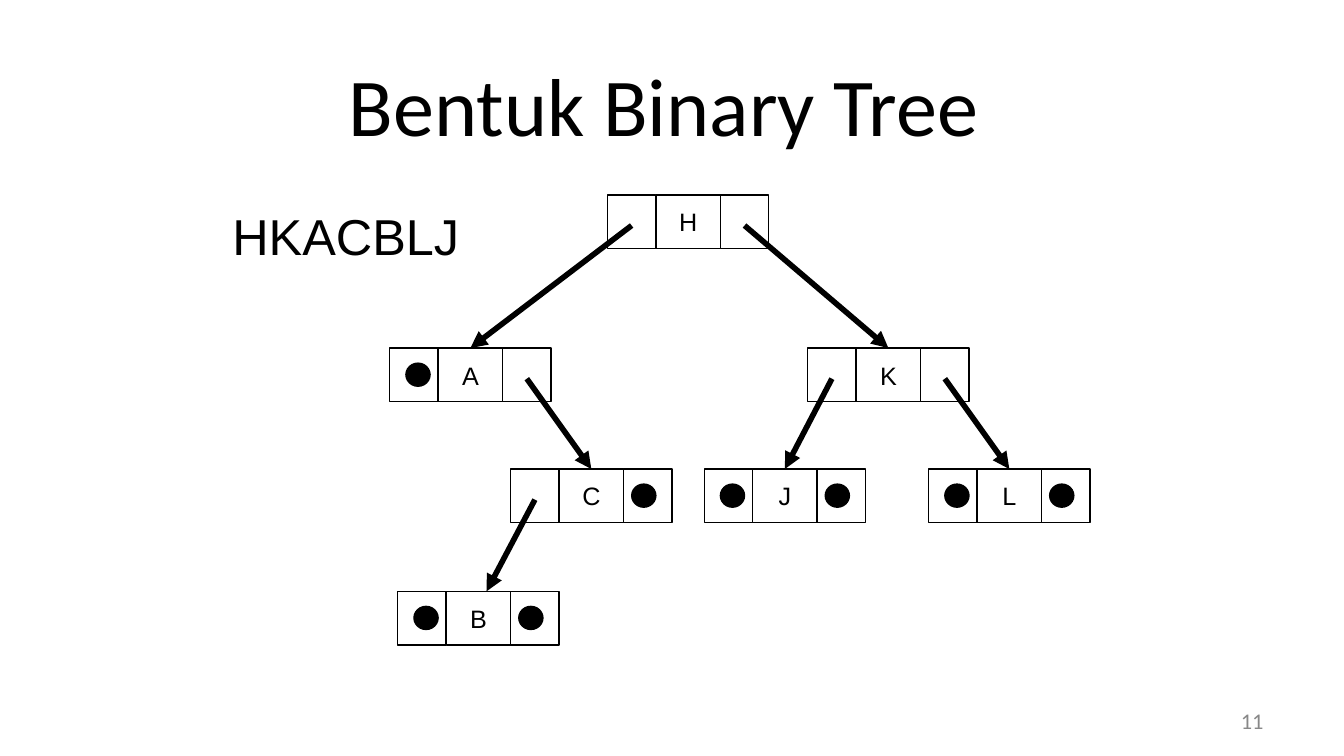
from lxml import etree
from pptx import Presentation
from pptx import util as u
from pptx.dml import color
from pptx.enum import shapes, text
from pptx.oxml import ns

WIDE = 10
HIGH = WIDE * 9 / 16
COL, ROW = 0.12, 0.4
INK, PAPER, GREY = "000000", "FFFFFF", "888888"
CELLS = ((0, 3), (3, 4), (7, 3))
TREE = {
    "H": (4.52, 1.45, 5, "A", "K"),
    "A": (2.9, 2.59, 5, None, "C"),
    "K": (6.01, 2.59, 5, "J", "L"),
    "C": (3.8, 3.49, 5, "B", None),
    "L": (6.91, 3.49, 5, None, None),
    "B": (2.96, 4.4, 5.5, None, None),
    "J": (5.24, 3.49, 5, None, None),
}


def tint(code):
    return color.RGBColor.from_string(code)


def inch(*nums):
    return [u.Inches(n) for n in nums]


def write(frame, words, size, font, code, align):
    para = frame.paragraphs[0]
    para.alignment = align
    run = para.add_run()
    run.text = words
    run.font.size = u.Pt(size)
    run.font.name = font
    run.font.color.rgb = tint(code)


def label(slide, box, words, size, font, code, align, anchor):
    frame = slide.shapes.add_textbox(*inch(*box)).text_frame
    frame.word_wrap = True
    frame.vertical_anchor = anchor
    write(frame, words, size, font, code, align)


def block(slide, kind, box, fill):
    shape = slide.shapes.add_shape(kind, *inch(*box))
    shape.shadow.inherit = False
    shape.fill.solid()
    shape.fill.fore_color.rgb = tint(fill)
    shape.line.color.rgb = tint(INK)
    shape.line.width = u.Pt(0.75)
    return shape


def node(slide, left, top, name):
    for start, span in CELLS:
        box = (left + start * COL, top, span * COL, ROW)
        cell = block(slide, shapes.MSO_SHAPE.RECTANGLE, box, PAPER)
        if start == 3:
            frame = cell.text_frame
            frame.vertical_anchor = text.MSO_ANCHOR.MIDDLE
            write(frame, name, 13.5, "Arial", INK, text.PP_ALIGN.CENTER)


def dot(slide, left, top, col):
    box = (left + col * COL, top + 0.28 * ROW, 1.5 * COL, 0.43 * ROW)
    block(slide, shapes.MSO_SHAPE.OVAL, box, INK)


def arrow(slide, left, top, col, child):
    side, roof, entry, *_ = TREE[child]
    line = slide.shapes.add_connector(
        shapes.MSO_CONNECTOR.STRAIGHT,
        *inch(left + col * COL, top + 0.57 * ROW, side + entry * COL, roof))
    line.line.color.rgb = tint(INK)
    line.line.width = u.Pt(3)
    tip = etree.SubElement(line.line._get_or_add_ln(), ns.qn("a:tailEnd"))
    tip.set("type", "triangle")
    etree.SubElement(line._element.spPr, ns.qn("a:effectLst"))


def tree(slide):
    for name, (left, top, *_) in TREE.items():
        node(slide, left, top, name)
    for left, top, _, *kids in TREE.values():
        for child, spot, col in zip(kids, (1, 7.5), (1.5, 8.5)):
            if child:
                arrow(slide, left, top, col, child)
            else:
                dot(slide, left, top, spot)


def main():
    deck = Presentation()
    deck.slide_width, deck.slide_height = inch(WIDE, HIGH)
    slide = deck.slides.add_slide(deck.slide_layouts[6])
    side, mid = text.PP_ALIGN, text.MSO_ANCHOR.MIDDLE
    label(slide, (7.17, 5.21, 2.33, 0.3), "11", 12, "Calibri", GREY, side.RIGHT, mid)
    label(slide, (1.75, 0.3, 6.38, 0.94), "Bentuk Binary Tree", 44, "Calibri", INK,
          side.CENTER, mid)
    label(slide, (1.63, 1.48, 1.91, 0.56), "HKACBLJ", 27, "Arial", INK,
          side.LEFT, text.MSO_ANCHOR.TOP)
    tree(slide)
    deck.save("out.pptx")


if __name__ == "__main__":
    main()
